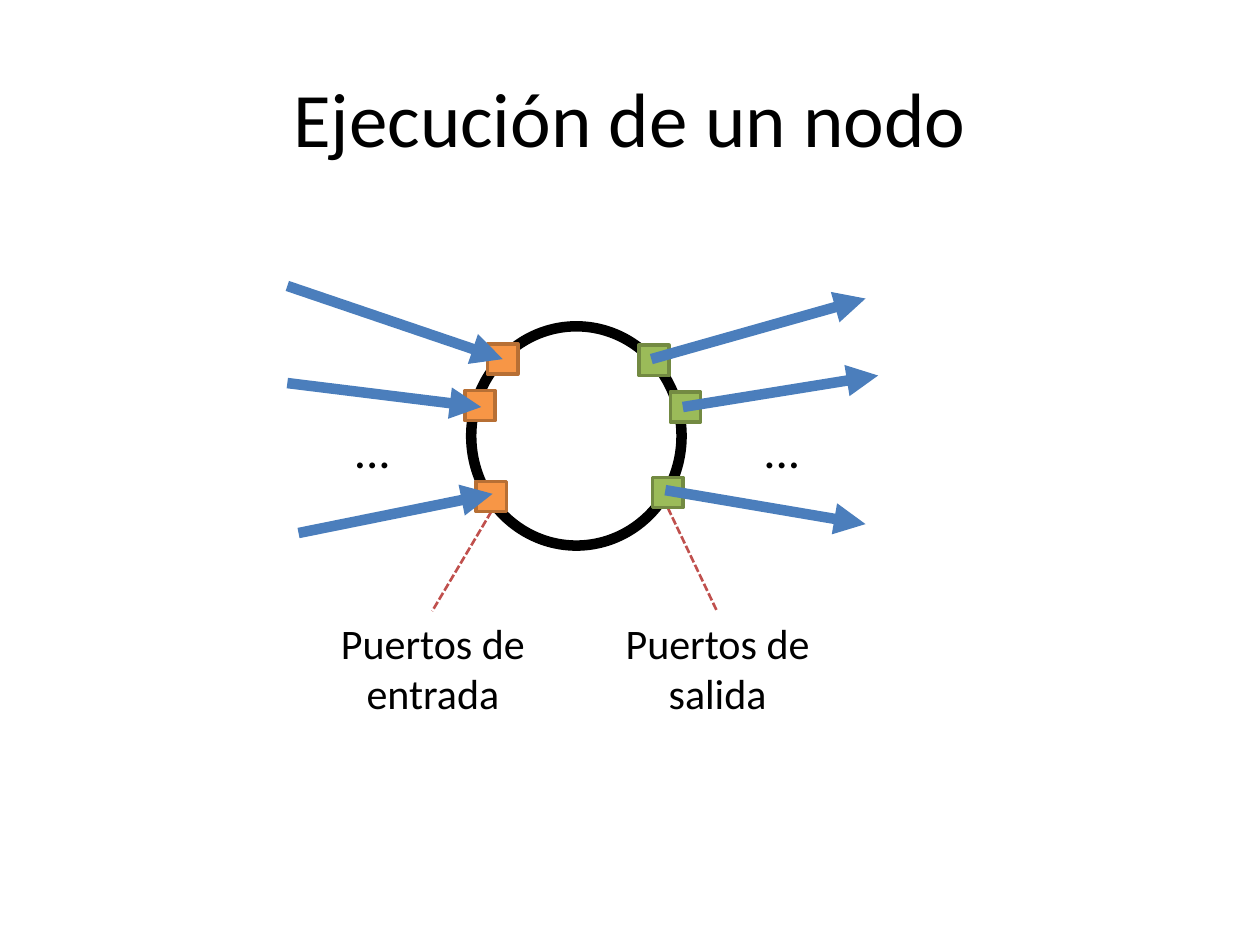
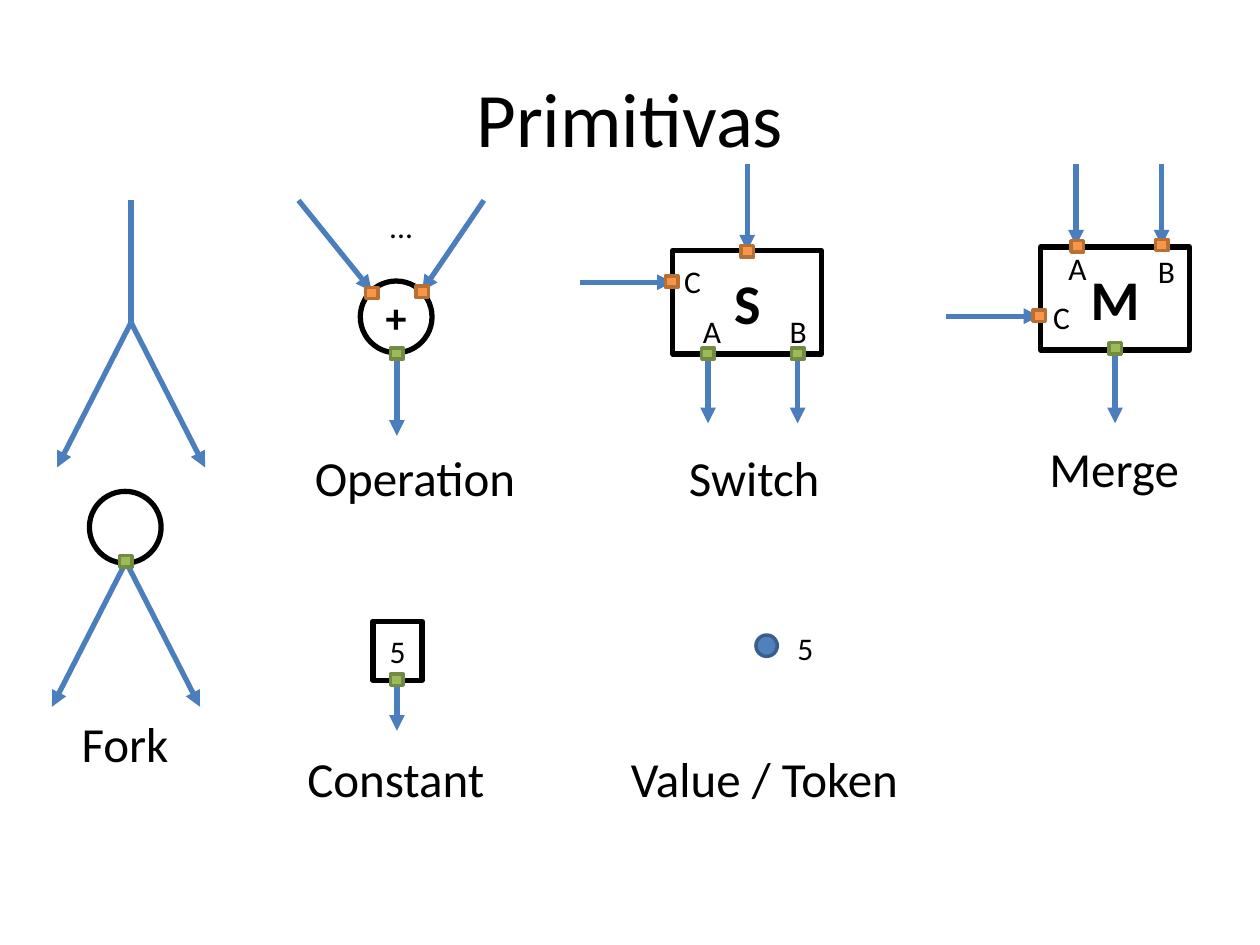
"""Build two slides on dataflow nodes and their primitives."""
import pptx
import pptx.dml.color
import pptx.enum.dml
import pptx.enum.shapes
import pptx.enum.text
import pptx.oxml.ns
import pptx.oxml.xmlchemy
import pptx.util

Pt = pptx.util.Pt
Color = pptx.dml.color.RGBColor
Shape = pptx.enum.shapes.MSO_SHAPE
Align = pptx.enum.text.PP_ALIGN
Anchor = pptx.enum.text.MSO_ANCHOR
Fit = pptx.enum.text.MSO_AUTO_SIZE
Node = pptx.oxml.xmlchemy.OxmlElement

BLACK = Color(0x00, 0x00, 0x00)
WHITE = Color(0xFF, 0xFF, 0xFF)
BLUE = Color(0x4B, 0x7E, 0xBC)
RED = Color(0xC0, 0x50, 0x4D)
INPUT = Color(0xF7, 0x96, 0x46), Color(0xB7, 0x6F, 0x34)
OUTPUT = Color(0x9B, 0xBB, 0x59), Color(0x73, 0x8A, 0x42)
TOKEN = Color(0x4F, 0x81, 0xBD), Color(0x3A, 0x5F, 0x8C)


def write(frame, text, size=18, bold=False, align=Align.LEFT, anchor=Anchor.TOP):
    frame.vertical_anchor = anchor
    para = frame.paragraphs[0]
    para.alignment = align
    run = para.add_run()
    run.text = text
    run.font.name = "Calibri"
    run.font.size = Pt(size)
    run.font.bold = bold
    run.font.color.rgb = BLACK


class Deck:
    def __init__(self):
        self.file = pptx.Presentation()
        self.file.slide_width = Pt(720)
        self.file.slide_height = Pt(540)

    def page(self, title):
        self.slide = self.file.slides.add_slide(self.file.slide_layouts[6])
        self.text(title, 36, 21.6, 648, 90, fit=Fit.NONE, size=44,
                  align=Align.CENTER, anchor=Anchor.MIDDLE)

    def text(self, text, x, y, w, h, wrap=True, fit=Fit.SHAPE_TO_FIT_TEXT, **style):
        frame = self.slide.shapes.add_textbox(Pt(x), Pt(y), Pt(w), Pt(h)).text_frame
        frame.word_wrap = wrap
        frame.auto_size = fit
        write(frame, text, **style)

    def label(self, text, x, y, w):
        self.text(text, x, y, w, 41, wrap=False, size=28)

    def mark(self, text, x, y, w=24.8):
        self.text(text, x, y, w, 29, wrap=False)

    def shape(self, kind, x, y, w, h, colors=(WHITE, BLACK), width=3, text="", **style):
        item = self.slide.shapes.add_shape(kind, Pt(x), Pt(y), Pt(w), Pt(h))
        item.shadow.inherit = False
        item.fill.solid()
        item.fill.fore_color.rgb, item.line.color.rgb = colors
        item.line.width = Pt(width)
        if text:
            write(item.text_frame, text, align=Align.CENTER, anchor=Anchor.MIDDLE, **style)

    def port(self, x, y, colors, w=7.2, h=6.5):
        self.shape(Shape.RECTANGLE, x - w / 2, y - h / 2, w, h, colors, 2)

    def line(self, x1, y1, x2, y2, color=BLUE, width=3, head=True, dash=None):
        item = self.slide.shapes.add_connector(
            pptx.enum.shapes.MSO_CONNECTOR.STRAIGHT, Pt(x1), Pt(y1), Pt(x2), Pt(y2))
        item.line.color.rgb = color
        item.line.width = Pt(width)
        if dash:
            item.line.dash_style = dash
        props = item._element.find(pptx.oxml.ns.qn("p:spPr"))
        if head:
            end = Node("a:tailEnd")
            end.set("type", "triangle")
            props.find(pptx.oxml.ns.qn("a:ln")).append(end)
        props.append(Node("a:effectLst"))

    def fork(self, x, y):
        for side in (-1, 1):
            self.line(x, y, x + side * 42.3, y + 82.8)

    def gate(self, text, x, y):
        self.shape(Shape.RECTANGLE, x, y, 85, 59, text=text, size=32, bold=True)


def node(deck):
    deck.page("Ejecución de un nodo")
    for x in (195.1, 429.1):
        deck.text("...", x, 236.2, 36, 41, size=28)
    for text, x in (("Puertos de entrada", 175), ("Puertos de salida", 337.7)):
        deck.text(text, x, 349.2, 144.7, 65.5, size=24, align=Align.CENTER)
    deck.shape(Shape.OVAL, 269.3, 186.5, 120.2, 125.3, width=6)
    dash = pptx.enum.dml.MSO_LINE.SQUARE_DOT
    for ends in ((280.8, 292.3, 247, 349.2), (381.6, 290.2, 409.7, 349.2)):
        deck.line(*ends, color=RED, width=1.5, head=False, dash=dash)
    ports = {INPUT: ((280.8, 283.7), (274.3, 231.8), (287.3, 205.2)),
             OUTPUT: ((373.7, 205.9), (391.7, 232.6), (381.6, 281.5))}
    for colors, spots in ports.items():
        for x, y in spots:
            deck.port(x, y, colors, 17.3, 17.3)
    for ends in ((164.2, 163.4, 287.3, 205.2), (170.6, 304.6, 281.5, 282.2),
                 (164.2, 218.9, 275, 232.6), (372.2, 205.2, 494.6, 170.6),
                 (380.2, 280.1, 494.6, 299.5), (390.2, 232.6, 501.8, 214.6)):
        deck.line(*ends, width=6)


def basics(deck):
    deck.page("Primitivas")
    deck.line(74.9, 114.5, 74.9, 184.3, head=False)
    deck.fork(74.9, 184.3)
    deck.fork(72, 321.1)
    for ends in ((276.5, 114.5, 241.2, 166.3), (170.6, 114.5, 212.4, 166.3),
                 (331.2, 161.3, 384.5, 161.3), (540.7, 180.7, 594, 180.7)):
        deck.line(*ends)
    for x, top, foot in ((226.8, 202.3, 249.1), (404.6, 201.6, 241.9),
                         (455.8, 201.6, 241.9), (427, 93.6, 143.3),
                         (614.9, 93.6, 140.4), (663.8, 93.6, 140.4),
                         (637.2, 200.9, 241.9), (226.8, 388.8, 417.6)):
        deck.line(x, top, x, foot)

    deck.shape(Shape.OVAL, 51.1, 280.8, 41, 41)
    deck.shape(Shape.OVAL, 205.9, 160.6, 41, 41, text="+", size=24, bold=True)
    deck.gate("S", 384.5, 143.3)
    deck.gate("M", 594.7, 141.1)
    deck.shape(Shape.RECTANGLE, 213.1, 355, 28.1, 33.8, text="5")
    deck.shape(Shape.OVAL, 432, 362.9, 12.2, 12.2, TOKEN, 2)

    for text, x, y, w in (("Fork", 39.6, 403.9, 64.8), ("Operation", 172.8, 252, 130.3),
                          ("Switch", 386.6, 252, 90), ("Merge", 592.6, 247, 89.3),
                          ("Constant", 168.5, 424.1, 116.6),
                          ("Value / Token", 353.5, 424.1, 168.5)):
        deck.label(text, x, y, w)
    for text, x, y in (("A", 394.6, 175), ("B", 444.2, 175), ("C", 383.8, 146.2),
                       ("A", 603.4, 139), ("B", 654.5, 140.4), ("C", 594.7, 167),
                       ("5", 448.6, 355.7)):
        deck.mark(text, x, y)
    deck.mark("...", 215.3, 114.5, 28.1)

    ports = {INPUT: ((212.4, 167.4), (241.2, 166.7), (427, 143.6), (383.8, 160.9),
                     (615.6, 140.8), (663.8, 140), (594, 180.4)),
             OUTPUT: ((226.8, 202), (404.6, 202), (455.8, 202), (637.2, 199.1),
                      (72, 320.8), (226.8, 388.4))}
    for colors, spots in ports.items():
        for x, y in spots:
            deck.port(x, y, colors)


deck = Deck()
node(deck)
basics(deck)
deck.file.save("out.pptx")
